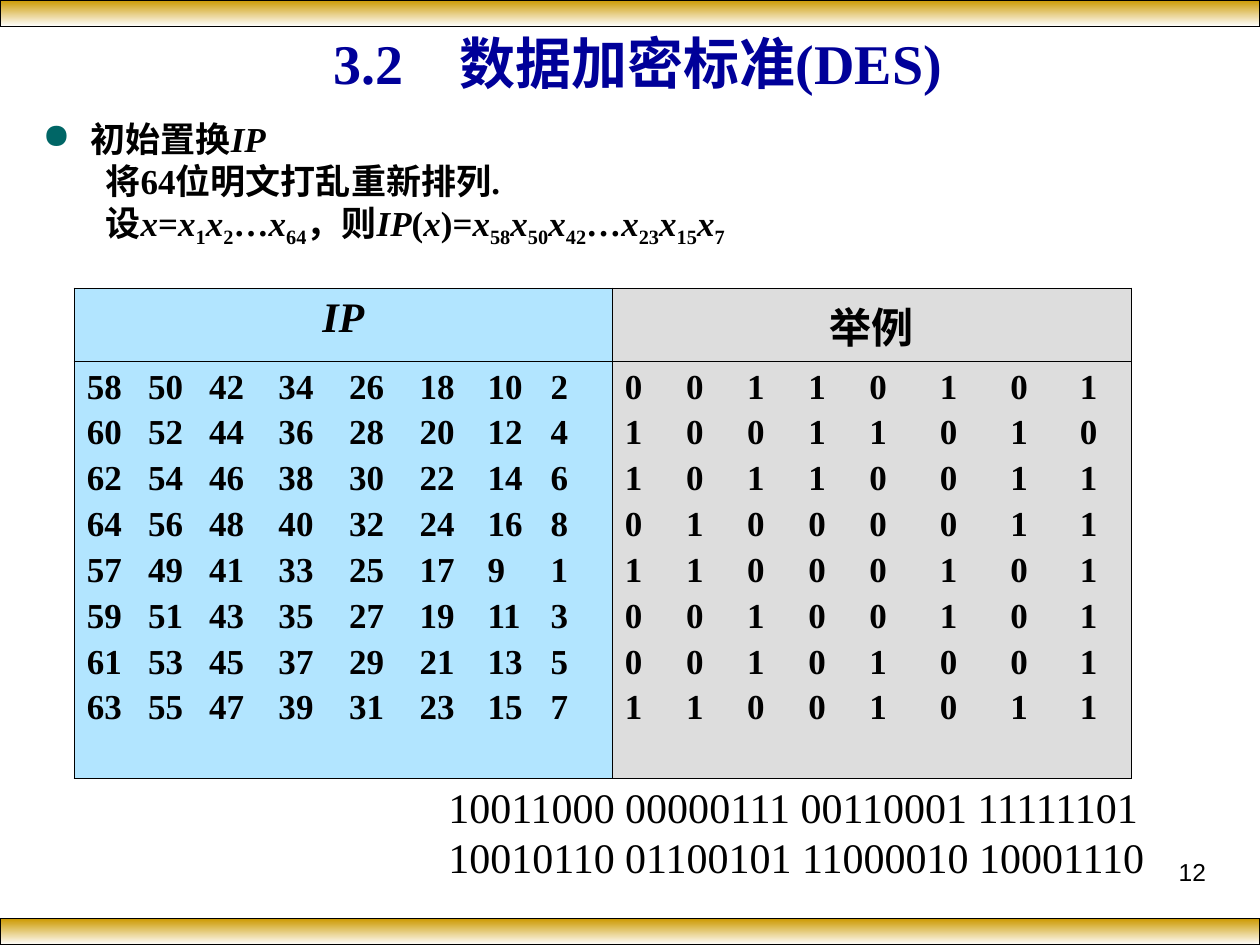
import pptx
import pptx.dml.color
import pptx.enum.shapes
import pptx.enum.text
import pptx.util
from lxml import etree
from pptx.oxml.ns import qn

RGB = pptx.dml.color.RGBColor
Pt = pptx.util.Pt
ALIGN = pptx.enum.text.PP_ALIGN
ANCHOR = pptx.enum.text.MSO_ANCHOR

BLACK = RGB(0x00, 0x00, 0x00)
WHITE = RGB(0xFF, 0xFF, 0xFF)
GOLD = RGB(0xCC, 0x99, 0x00)
NAVY = RGB(0x00, 0x00, 0x99)
TEAL = RGB(0x00, 0x66, 0x66)
SKY = RGB(0x66, 0xCC, 0xFF)
GREY = RGB(0xDD, 0xDD, 0xDD)

prs = pptx.Presentation()
prs.slide_width = pptx.util.Inches(10)
prs.slide_height = pptx.util.Inches(7.5)
COL = prs.slide_width / 100
ROW = prs.slide_height / 100
s = prs.slides.add_slide(prs.slide_layouts[6])

SERIF = {"name": "Times New Roman", "size": Pt(20), "bold": True}


def add_runs(p, tokens, color=BLACK, **fmt):
    """Add one run per token: a leading * means italic, a leading _ subscript."""
    for token in tokens:
        r = p.add_run()
        r.text = token.lstrip("*_")
        for key, value in {**SERIF, "italic": token[0] == "*", **fmt}.items():
            setattr(r.font, key, value)
        r.font.color.rgb = color
        if token[0] == "_":
            r.font._element.set("baseline", "-25000")


def add_box(x, y, w, h, paragraphs, align=ALIGN.LEFT, anchor=ANCHOR.TOP, **fmt):
    """Add a text box placed in columns and rows, and return its text frame."""
    sp = s.shapes.add_textbox(int(x * COL), int(y * ROW), int(w * COL), int(h * ROW))
    tf = sp.text_frame
    tf.word_wrap = True
    tf.vertical_anchor = anchor
    for i, tokens in enumerate(paragraphs):
        p = tf.add_paragraph() if i else tf.paragraphs[0]
        p.alignment = align
        add_runs(p, tokens, **fmt)
    return tf


# Gold bands along the top and bottom edges
BAND = 2.8
for top in (0, 100 - BAND):
    sp = s.shapes.add_shape(pptx.enum.shapes.MSO_SHAPE.RECTANGLE,
                            0, int(top * ROW), prs.slide_width, int(BAND * ROW))
    sp.shadow.inherit = False
    sp.fill.gradient()
    sp.fill.gradient_angle = 270
    for stop, color, position in zip(sp.fill.gradient_stops, (GOLD, WHITE), (0, 1)):
        stop.color.rgb = color
        stop.position = position
    sp.line.color.rgb = BLACK
    sp.line.width = Pt(0.75)

add_box(71.7, 90, 25, 6.93, [["12"]], align=ALIGN.RIGHT,
        name="Arial", size=Pt(14), bold=False)
add_box(5.9, 2.67, 89.4, 7.87, [["3.2　数据加密标准(DES)"]], align=ALIGN.CENTER,
        anchor=ANCHOR.MIDDLE, color=NAVY, size=Pt(32))

# Definition of the initial permutation
formula = ("设 *x = *x _1 *x _2 … *x _64 ，则 *IP ( *x )= "
           "*x _58 *x _50 *x _42 … *x _23 *x _15 *x _7").split()
tf = add_box(2.4, 11.73, 85.4, 17.2,
             [["初始置换", "*IP"], ["将64位明文打乱重新排列."], formula])
for p, margin, indent in zip(tf.paragraphs, (3.8, 8.1, 8.1), (-3.8, -3.1, -3.1)):
    pPr = p._p.get_or_add_pPr()
    pPr.set("marL", str(int(margin * COL)))
    pPr.set("indent", str(int(indent * COL)))
pPr = tf.paragraphs[0]._p.get_or_add_pPr()
buClr = etree.SubElement(pPr, qn("a:buClr"))
etree.SubElement(buClr, qn("a:srgbClr")).set("val", str(TEAL))
etree.SubElement(pPr, qn("a:buChar")).set("char", "●")

# Permutation table with an example block
starts = (58, 60, 62, 64, 57, 59, 61, 63)
ip_rows = [[str(start - 8 * i) for i in range(8)] for start in starts]
example_rows = ["00110101", "10011010", "10110011", "01000011",
                "11000101", "00100101", "00101001", "11001011"]
columns = [
    {"head": "*IP", "rows": ip_rows, "fill": SKY, "alpha": "50000",
     "tabs": (4.85, 9.7, 15.2, 20.8, 26.4, 31.8, 36.8)},
    {"head": "举例", "rows": example_rows, "fill": GREY, "alpha": "100000",
     "tabs": (4.85, 9.7, 14.55, 19.4, 25, 30.6, 36.1)},
]
widths, heights = (42.7, 41.2), (7.73, 44.13)
table = s.shapes.add_table(2, 2, int(5.9 * COL), int(30.53 * ROW),
                           int(sum(widths) * COL), int(sum(heights) * ROW)).table
for i in range(2):
    table.columns[i].width = int(widths[i] * COL)
    table.rows[i].height = int(heights[i] * ROW)

for c, column in enumerate(columns):
    head, body = table.cell(0, c), table.cell(1, c)
    p = head.text_frame.paragraphs[0]
    p.alignment = ALIGN.CENTER
    add_runs(p, [column["head"]], size=Pt(24))
    for i, numbers in enumerate(column["rows"]):
        p = body.text_frame.add_paragraph() if i else body.text_frame.paragraphs[0]
        tabs = etree.SubElement(p._p.get_or_add_pPr(), qn("a:tabLst"))
        for position in column["tabs"]:
            tab = etree.SubElement(tabs, qn("a:tab"))
            tab.set("pos", str(int(position * COL)))
            tab.set("algn", "l")
        if i:
            p.space_before = Pt(4)
        add_runs(p, ["\t".join(numbers)])

    for row, cell in enumerate((head, body)):
        cell.fill.solid()
        cell.fill.fore_color.rgb = column["fill"]
        tcPr = cell._tc.get_or_add_tcPr()
        alpha = etree.SubElement(tcPr.find(".//" + qn("a:srgbClr")), qn("a:alpha"))
        alpha.set("val", column["alpha"])
        outer = {"L": c == 0, "R": c == 1, "T": row == 0, "B": row == 1}
        for i, (side, is_outer) in enumerate(outer.items()):
            ln = etree.Element(qn("a:ln" + side))
            ln.set("w", str(Pt(1.08 if is_outer else 0.45)))
            solid = etree.SubElement(ln, qn("a:solidFill"))
            etree.SubElement(solid, qn("a:srgbClr")).set("val", str(BLACK))
            tcPr.insert(i, ln)

add_box(34.6, 82, 57.6, 12,
        [["10011000 00000111 00110001 11111101"],
         ["10010110 01100101 11000010 10001110"]], size=Pt(24), bold=False)

prs.save("out.pptx")
